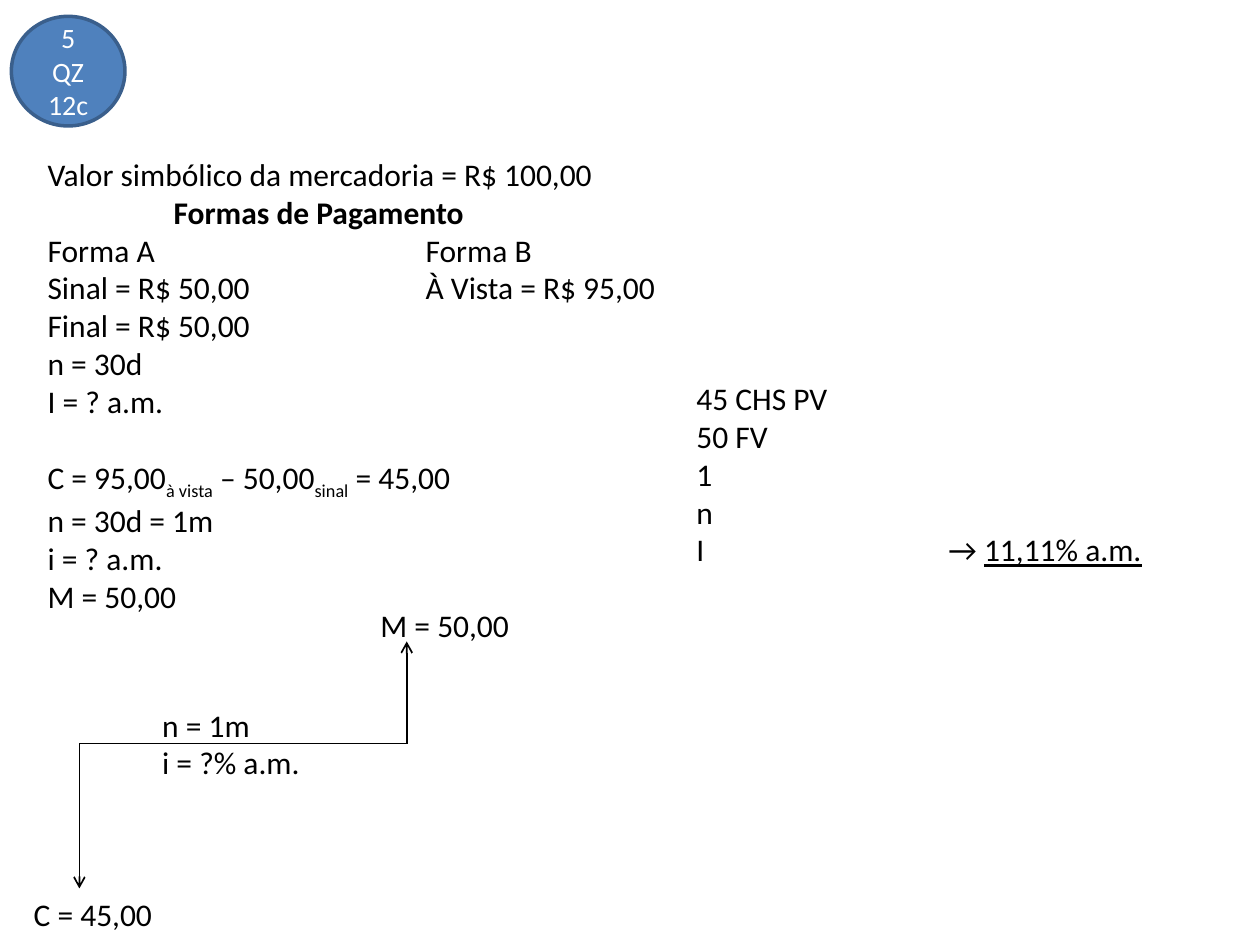
"""Build a slide comparing two payment forms, with its cash flow diagram."""
from lxml import etree
from pptx import Presentation
from pptx import util as u
from pptx.dml import color
from pptx.enum import shapes, text
from pptx.oxml import ns


def paint(target, value):
    target.rgb = color.RGBColor.from_string(value)


def write(box, lines, size=18, ink="000000", **paragraph_format):
    frame = box.text_frame
    for index, spans in enumerate(lines):
        para = frame.paragraphs[0] if index == 0 else frame.add_paragraph()
        for name, value in paragraph_format.items():
            setattr(para, name, value)
        for wording, style in [(spans, {})] if isinstance(spans, str) else spans:
            span = para.add_run()
            span.text = wording
            for name, value in {"name": "Calibri", "size": u.Pt(size), **style}.items():
                setattr(span.font, name, value)
            paint(span.font.color, ink)
    return frame.paragraphs


deck = Presentation()
deck.slide_width, deck.slide_height = u.Cm(25.4), u.Cm(19.05)
page = deck.slides.add_slide(deck.slide_layouts[6])

payment_lines = [
    "Valor simbólico da mercadoria = R$ 100,00",
    [("\tFormas de Pagamento", {"bold": True})],
    "Forma A\tForma B",
    "Sinal = R$ 50,00\tÀ Vista = R$ 95,00",
    "Final = R$ 50,00",
    "n = 30d",
    "I = ? a.m.",
    [("C = 95,00", {}), ("à vista", {}), (" – 50,00", {}), ("sinal", {}), (" = 45,00", {})],
    "n = 30d = 1m",
    "i = ? a.m.",
    "M = 50,00",
]
keystroke_lines = ["45 CHS PV", "50 FV", "1", "n",
                   [("I\t→ ", {}), ("11,11% a.m.", {"underline": True})]]

payment_box = page.shapes.add_textbox(u.Cm(0.71), u.Cm(3), u.Cm(12.88), u.Cm(9.5))
diagram = page.shapes.add_group_shape()

arrows = [
    ((1.6, 14.99), (1.6, 17.91), True),
    ((1.6, 14.99), (8.2, 14.99), False),
    ((8.2, 14.99), (8.2, 12.93), True),
]
for start, end, has_head in arrows:
    arrow = diagram.shapes.add_connector(
        shapes.MSO_CONNECTOR.STRAIGHT, *map(u.Cm, start + end))
    arrow.line.width = u.Pt(1)
    arrow.line.fill.solid()
    paint(arrow.line.fill.fore_color, "000000")
    if has_head:
        etree.SubElement(arrow.line._get_or_add_ln(), ns.qn("a:tailEnd"), type="arrow")
    etree.SubElement(arrow._element.spPr, ns.qn("a:effectLst"))

labels = [
    ((0.43, 17.91, 2.92, 1.02), ["C = 45,00"]),
    ((3.02, 14.1, 3.33, 1.8), ["n = 1m", "i = ?% a.m."]),
    ((7.42, 12.09, 3.12, 1.02), ["M = 50,00"]),
]
label_boxes = [(diagram.shapes.add_textbox(*map(u.Cm, place)), lines)
               for place, lines in labels]
keystroke_box = page.shapes.add_textbox(u.Cm(13.79), u.Cm(7.52), u.Cm(9.63), u.Cm(4.11))

frame_format = {"word_wrap": False, "auto_size": text.MSO_AUTO_SIZE.SHAPE_TO_FIT_TEXT}
written = []
for box, lines in [(payment_box, payment_lines), *label_boxes, (keystroke_box, keystroke_lines)]:
    for name, value in frame_format.items():
        setattr(box.text_frame, name, value)
    written.append(write(box, lines))

payments, keystrokes = written[0], written[-1]
payments[7].space_before = u.Pt(22)
for span in payments[7].runs[1::2]:
    span._r.get_or_add_rPr().set("baseline", "-25000")

tab_stops = [(payments[1], 2.54), (payments[2], 7.62), (payments[3], 7.62), (keystrokes[4], 5.08)]
for para, position in tab_stops:
    stops = etree.SubElement(para._p.get_or_add_pPr(), ns.qn("a:tabLst"))
    etree.SubElement(stops, ns.qn("a:tab"), pos=str(u.Cm(position)), algn="l")

badge = page.shapes.add_shape(
    shapes.MSO_SHAPE.OVAL, u.Cm(0.23), u.Cm(0.33), u.Cm(2.29), u.Cm(2.21))
badge.shadow.inherit = False
badge.fill.solid()
paint(badge.fill.fore_color, "4F81BD")
badge.line.width = u.Pt(2)
paint(badge.line.color, "3A5F8C")
badge.text_frame.vertical_anchor = text.MSO_ANCHOR.MIDDLE
write(badge, ["5", "QZ", "12c"], 16, "FFFFFF", alignment=text.PP_ALIGN.CENTER)

deck.save("out.pptx")
